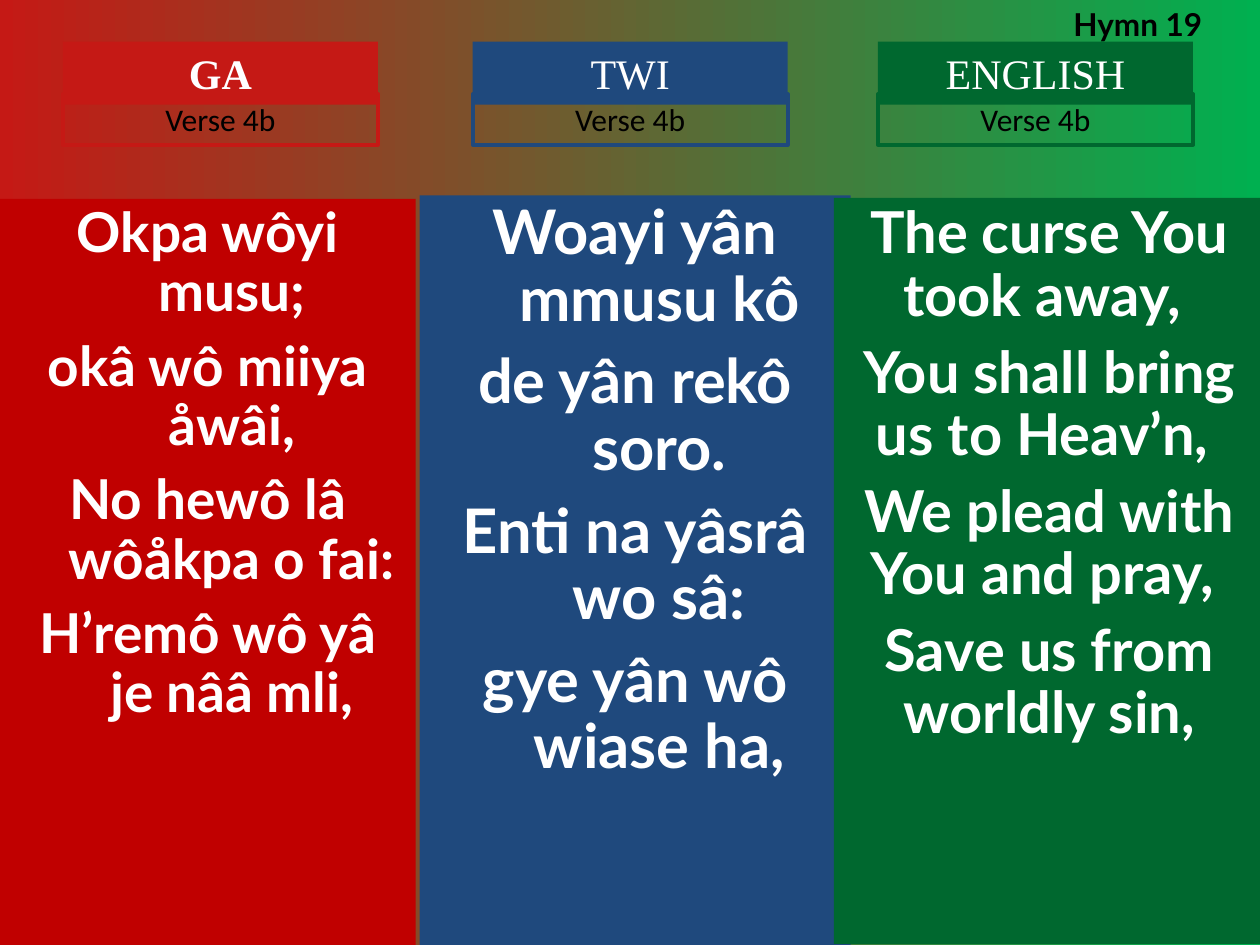
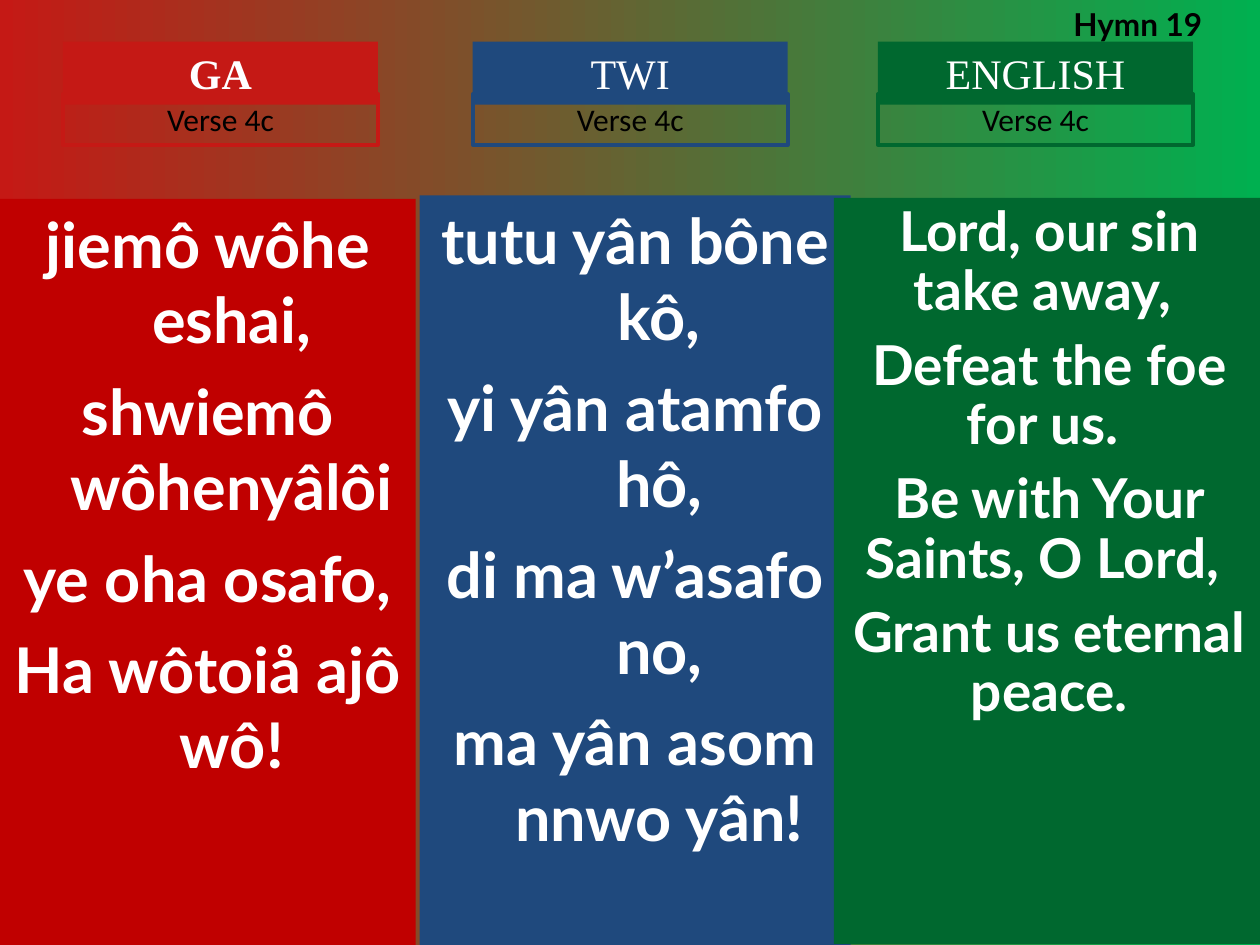
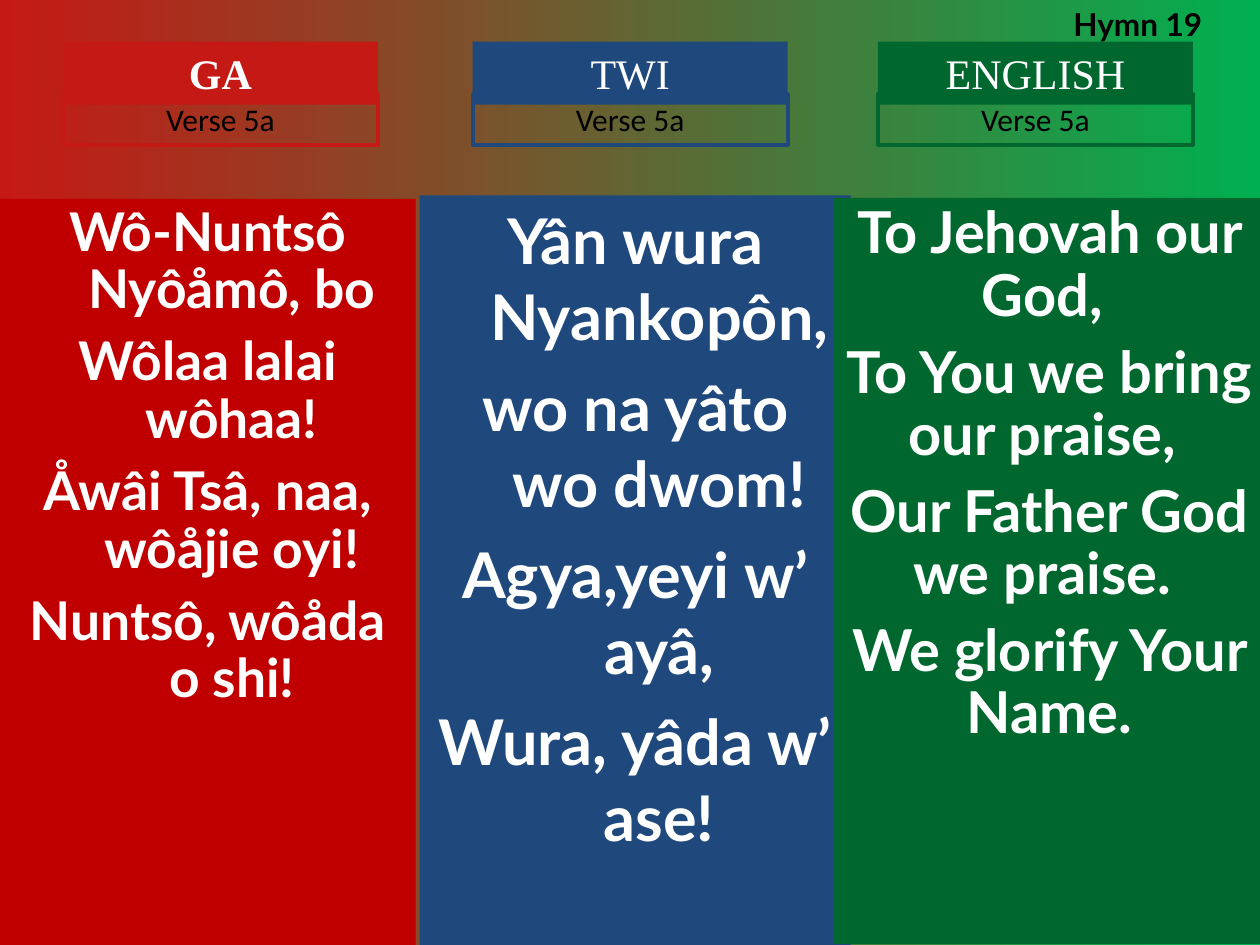
from dataclasses import dataclass

from pptx import Presentation
from pptx.dml.color import RGBColor
from pptx.enum.shapes import MSO_SHAPE
from pptx.enum.text import MSO_ANCHOR, MSO_AUTO_SIZE, PP_ALIGN
from pptx.util import Cm, Pt

COLOURS = {
    "red": "C51915", "deep red": "C00000", "blue": "1F497D", "green": "00682F",
    "bright green": "00B050", "white": "FFFFFF", "black": "000000",
}
HYMN = "Hymn 19"
LABEL_WIDTH = 6.35


@dataclass
class Language:
    name: str
    label_colour: str
    panel_colour: str
    label_left: float
    panel: tuple
    bold_label: bool = False
    hanging: float = 0.97


LANGUAGES = [
    Language("GA", "red", "deep red", 1.27, (0, 4.01, 8.38, 15.04), bold_label=True),
    Language("TWI", "blue", "blue", 9.53, (8.46, 3.94, 8.69, 15.11)),
    Language("ENGLISH", "green", "green", 17.7, (16.81, 3.99, 8.69, 15.04), hanging=0),
]

# For each language: text size, line spacing, space between lines, lines
VERSES = {
    "Verse 4b": [
        (31.4, 0.9, 8.5, ["Okpa wôyi musu;", "okâ wô miiya åwâi,",
                          "No hewô lâ wôåkpa o fai:", "H’remô wô yâ je nââ mli,"]),
        (35.1, 0.9, 9.5, ["Woayi yân mmusu kô", "de yân rekô soro.",
                          "Enti na yâsrâ wo sâ:", "gye yân wô wiase ha,"]),
        (33, 0.9, 8.2, ["The curse You took away, ", "You shall bring us to Heav’n, ",
                        "We plead with You and pray, ", "Save us from worldly sin,"]),
    ],
    "Verse 4c": [
        (36, 1.0, 9, ["jiemô wôhe eshai,", "shwiemô wôhenyâlôi",
                      "ye oha osafo,", "Ha wôtoiå ajô wô!"]),
        (36, 1.0, 9, ["tutu yân bône kô,", "yi yân atamfo hô,",
                      "di ma w’asafo no,", "ma yân asom nnwo yân!"]),
        (31.4, 0.9, 8.5, ["Lord, our sin take away, ", "Defeat the foe for us. ",
                          "Be with Your Saints, O Lord, ", "Grant us eternal peace."]),
    ],
    "Verse 5a": [
        (30.5, 0.9, 8.2, ["Wô-Nuntsô Nyôåmô, bo", "Wôlaa lalai wôhaa!",
                          "Åwâi Tsâ, naa, wôåjie oyi!", "Nuntsô, wôåda o shi!"]),
        (36, 1.0, 9, ["Yân wura Nyankopôn,", "wo na yâto wo dwom!",
                      "Agya,yeyi w’ ayâ,", "Wura, yâda w’ ase!"]),
        (33, 0.9, 8.2, ["To Jehovah our God, ", "To You we bring our praise, ",
                        "Our Father God we praise. ", "We glorify Your Name."]),
    ],
}


def rgb(colour):
    return RGBColor.from_string(COLOURS[colour])


class HymnDeck:
    def __init__(self):
        self.deck = Presentation()
        self.deck.slide_width, self.deck.slide_height = Cm(25.4), Cm(19.05)
        self.page = None

    def add_page(self):
        self.page = self.deck.slides.add_slide(self.deck.slide_layouts[6])
        fill = self.page.background.fill
        fill.gradient()
        fill.gradient_angle = 0
        for stop, colour, position in zip(fill.gradient_stops, ("red", "bright green"), (0, 1)):
            stop.color.rgb = rgb(colour)
            stop.position = position

    def rectangle(self, place, fill=None, line=None):
        box = self.page.shapes.add_shape(MSO_SHAPE.RECTANGLE, *map(Cm, place))
        box.shadow.inherit = False
        if fill:
            box.fill.solid()
            box.fill.fore_color.rgb = rgb(fill)
        else:
            box.fill.background()
        if line:
            box.line.color.rgb = rgb(line)
            box.line.width = Pt(2.25)
        else:
            box.line.fill.background()
        return box

    def set_text(self, box, lines, font, size, colour, bold=False, align=PP_ALIGN.CENTER):
        frame = box.text_frame
        frame.word_wrap = True
        frame.vertical_anchor = MSO_ANCHOR.TOP
        frame.text = "\n".join(lines)
        for para in frame.paragraphs:
            para.alignment = align
            for span in para.runs:
                span.font.name = font
                span.font.size = Pt(size)
                span.font.bold = bold
                span.font.color.rgb = rgb(colour)
        return frame

    def lyrics(self, language, size, line_spacing, gap, lines):
        box = self.rectangle(language.panel, fill=language.panel_colour)
        frame = self.set_text(box, lines, "Lato", size, "white", bold=True)
        for number, para in enumerate(frame.paragraphs):
            para.line_spacing = line_spacing
            para.space_before = Pt(gap if number else 0)
            if language.hanging:
                properties = para._p.get_or_add_pPr()
                properties.set("marL", str(Cm(language.hanging)))
                properties.set("indent", str(-Cm(language.hanging)))

    def labels(self, language, verse):
        """Add the language name and the framed verse number below it."""
        left, colour = language.label_left, language.label_colour
        name = self.rectangle((left, 0.84, LABEL_WIDTH, 1.27), fill=colour)
        self.set_text(name, [language.name], "Times New Roman", 24, "white", language.bold_label)
        number = self.rectangle((left, 1.9, LABEL_WIDTH, 1.02), line=colour)
        self.set_text(number, [verse], "Calibri", 18, "black")
        for box in (name, number):
            box.text_frame.auto_size = MSO_AUTO_SIZE.SHAPE_TO_FIT_TEXT

    def hymn_number(self):
        box = self.page.shapes.add_textbox(Cm(21.39), Cm(-0.03), Cm(3.81), Cm(1.02))
        frame = self.set_text(box, [HYMN], "Lato", 18, "black", bold=True, align=PP_ALIGN.LEFT)
        frame.auto_size = MSO_AUTO_SIZE.SHAPE_TO_FIT_TEXT


def main():
    hymn = HymnDeck()
    for verse, translations in VERSES.items():
        hymn.add_page()
        for language, translation in zip(LANGUAGES, translations):
            hymn.lyrics(language, *translation)
            hymn.labels(language, verse)
        hymn.hymn_number()
    hymn.deck.save("out.pptx")


if __name__ == "__main__":
    main()
